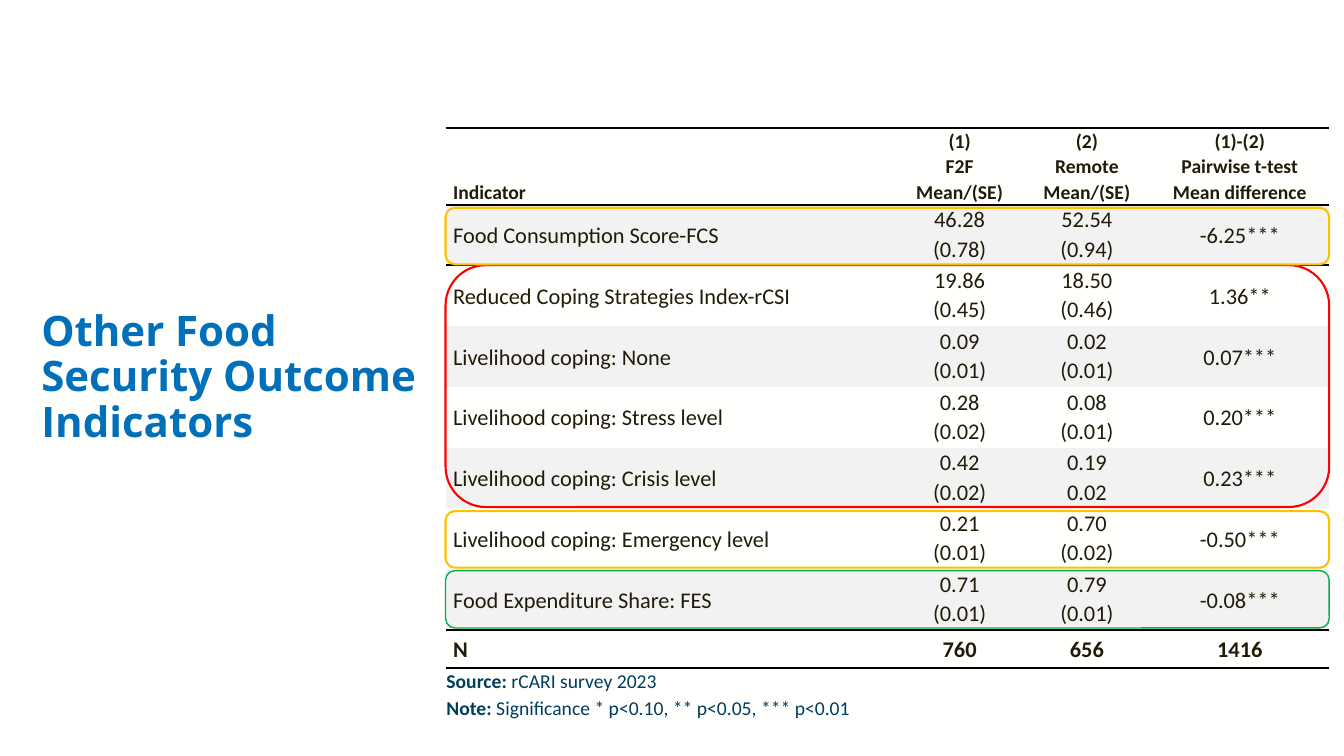
from dataclasses import dataclass

from lxml.etree import SubElement
from pptx import Presentation
from pptx.dml.color import RGBColor
from pptx.enum.shapes import MSO_SHAPE as Shape
from pptx.enum.text import MSO_ANCHOR as Anchor, MSO_AUTO_SIZE as AutoSize, PP_ALIGN as Align
from pptx.oxml.ns import qn
from pptx.slide import Slide
from pptx.table import _Cell as Cell
from pptx.text.text import Font
from pptx.util import Pt

COLORS = {
    "background": "FFFFFE",
    "title": "0070BA",
    "ink": "211B09",
    "note": "003E5E",
    "rule": "000000",
    "band": "F2F2F2",
    "red": "FF0000",
    "amber": "FFC000",
    "green": "00B050",
}
TABLE_LEFT, TABLE_TOP, TABLE_WIDTH = 318.24, 91.44, 631.2
COLUMN_WIDTHS = [321.8, 90.9, 90.9, 127.6]
HEADER_HEIGHT, INDICATOR_HEIGHT, TOTAL_HEIGHT = 48.24, 43.4, 27.36
NO_GRID_STYLE = "{2D5ABB26-0587-4C30-8999-92F81FD0307C}"


@dataclass
class Indicator:
    label: str
    face_to_face: str
    remote: str
    difference: str

    def texts(self) -> list[str]:
        return [self.label, self.face_to_face, self.remote, self.difference]


@dataclass
class Highlight:
    top: float
    height: float
    color: str
    weight: float


@dataclass
class Footnote:
    label: str
    text: str


HEADER = Indicator("Indicator", "(1)\nF2F\nMean/(SE)", "(2)\nRemote\nMean/(SE)",
                   "(1)-(2)\nPairwise t-test\nMean difference")
INDICATORS = [
    Indicator("Food Consumption Score-FCS", "46.28\n(0.78)", "52.54\n(0.94)", "-6.25***"),
    Indicator("Reduced Coping Strategies Index-rCSI", "19.86\n(0.45)", "18.50\n(0.46)", "1.36**"),
    Indicator("Livelihood coping: None", "0.09\n(0.01)", "0.02\n(0.01)", "0.07***"),
    Indicator("Livelihood coping: Stress level", "0.28\n(0.02)", "0.08\n(0.01)", "0.20***"),
    Indicator("Livelihood coping: Crisis level", "0.42\n(0.02)", "0.19\n0.02", "0.23***"),
    Indicator("Livelihood coping: Emergency level", "0.21\n(0.01)", "0.70\n(0.02)", "-0.50***"),
    Indicator("Food Expenditure Share: FES", "0.71\n(0.01)", "0.79\n(0.01)", "-0.08***"),
]
TOTAL = Indicator("N", "760", "656", "1416")
HIGHLIGHTS = [
    Highlight(189.4, 172.8, "red", 1.5),
    Highlight(148.4, 40.4, "amber", 1.5),
    Highlight(407.6, 41, "green", 1),
    Highlight(365.1, 40.4, "amber", 1.5),
]
FOOTNOTES = [
    Footnote("Source:", " rCARI survey 2023"),
    Footnote("Note:", " Significance * p<0.10, ** p<0.05, *** p<0.01"),
]


def rgb(name: str) -> RGBColor:
    return RGBColor.from_string(COLORS[name])


def style_font(font: Font, face: str, size: float, color: str, bold: bool) -> None:
    font.name, font.size, font.bold = face, Pt(size), bold
    font.color.rgb = rgb(color)


def add_rule(cell: Cell, side: str) -> None:
    line = SubElement(cell._tc.get_or_add_tcPr(), qn(f"a:{side}"), w=str(Pt(1.5)))
    fill = SubElement(line, qn("a:solidFill"))
    SubElement(fill, qn("a:srgbClr"), val=COLORS["rule"])


def add_title(slide: Slide) -> None:
    title = slide.shapes.title
    title.left, title.top, title.width, title.height = Pt(22.3), Pt(177.8), Pt(295.9), Pt(185)
    frame = title.text_frame
    frame.text = "Other Food Security Outcome Indicators"
    frame.auto_size, frame.vertical_anchor = AutoSize.NONE, Anchor.MIDDLE
    paragraph = frame.paragraphs[0]
    paragraph.alignment, paragraph.line_spacing = Align.LEFT, 0.9
    style_font(paragraph.runs[0].font, "Open Sans", 30, "title", True)


def fill_cell(cell: Cell, text: str, row: int, column: int, last_row: int) -> None:
    is_header, is_total = row == 0, row == last_row
    cell.margin_left = cell.margin_right = Pt(5.4)
    cell.margin_top = cell.margin_bottom = Pt(0)
    if column == 0 and is_header:
        cell.vertical_anchor = Anchor.BOTTOM
    elif is_total or (column in (0, 3) and not is_header):
        cell.vertical_anchor = Anchor.MIDDLE
    else:
        cell.vertical_anchor = Anchor.TOP
    if row in (0, 1, last_row):
        add_rule(cell, "lnT")
    if row in (0, last_row - 1, last_row):
        add_rule(cell, "lnB")
    if row % 2:
        cell.fill.solid()
        cell.fill.fore_color.rgb = rgb("band")
    else:
        cell.fill.background()
    cell.text_frame.text = text
    for paragraph in cell.text_frame.paragraphs:
        paragraph.alignment = Align.CENTER if column else Align.LEFT
        paragraph.line_spacing = 1.07
        style_font(paragraph.runs[0].font, "Calibri", 14 if is_header else 16, "ink",
                   is_header or is_total)


def add_indicator_table(slide: Slide) -> None:
    rows = [HEADER, *INDICATORS, TOTAL]
    heights = [HEADER_HEIGHT, *[INDICATOR_HEIGHT] * len(INDICATORS), TOTAL_HEIGHT]
    table = slide.shapes.add_table(len(rows), len(COLUMN_WIDTHS), Pt(TABLE_LEFT), Pt(TABLE_TOP),
                                   Pt(TABLE_WIDTH), Pt(sum(heights))).table
    table.first_row = table.horz_banding = False
    table._tbl.tblPr.find(qn("a:tableStyleId")).text = NO_GRID_STYLE
    for column, width in zip(table.columns, COLUMN_WIDTHS):
        column.width = Pt(width)
    for row_index, (indicator, height) in enumerate(zip(rows, heights)):
        table.rows[row_index].height = Pt(height)
        for column_index, text in enumerate(indicator.texts()):
            fill_cell(table.cell(row_index, column_index), text, row_index, column_index,
                      len(rows) - 1)


def add_highlight(slide: Slide, highlight: Highlight) -> None:
    outline = slide.shapes.add_shape(Shape.ROUNDED_RECTANGLE, Pt(TABLE_LEFT), Pt(highlight.top),
                                     Pt(TABLE_WIDTH), Pt(highlight.height))
    outline.shadow.inherit = False
    outline.fill.background()
    outline.line.color.rgb = rgb(highlight.color)
    outline.line.width = Pt(highlight.weight)


def add_footnotes(slide: Slide) -> None:
    frame = slide.shapes.add_textbox(Pt(311.8), Pt(471.6), Pt(480.2), Pt(45.4)).text_frame
    frame.word_wrap, frame.auto_size = True, AutoSize.SHAPE_TO_FIT_TEXT
    frame.text = "\n".join(footnote.label for footnote in FOOTNOTES)
    for paragraph, footnote in zip(frame.paragraphs, FOOTNOTES):
        paragraph.alignment, paragraph.line_spacing = Align.JUSTIFY, 1.15
        paragraph.add_run().text = footnote.text
        for run, bold in zip(paragraph.runs, (True, False)):
            style_font(run.font, "Calibri", 14, "note", bold)


def main() -> None:
    deck = Presentation()
    deck.slide_width, deck.slide_height = Pt(960), Pt(540)
    slide = deck.slides.add_slide(deck.slide_layouts.get_by_name("Title Only"))
    slide.background.fill.solid()
    slide.background.fill.fore_color.rgb = rgb("background")
    add_title(slide)
    add_indicator_table(slide)
    for highlight in HIGHLIGHTS:
        add_highlight(slide, highlight)
    add_footnotes(slide)
    deck.save("out.pptx")


if __name__ == "__main__":
    main()
